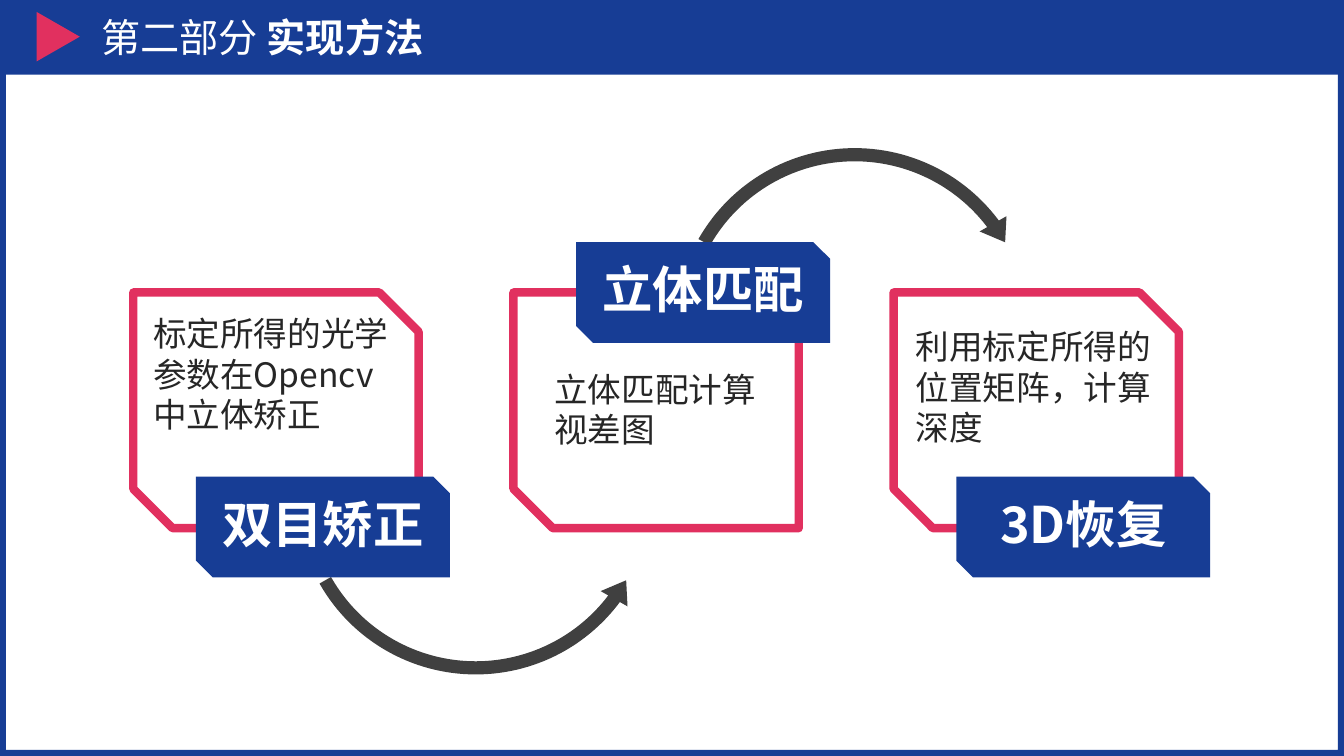
from pptx import Presentation
from pptx.dml.color import RGBColor
from pptx.enum.shapes import MSO_SHAPE
from pptx.enum.text import MSO_ANCHOR, PP_ALIGN
from pptx.util import Cm, Pt

FRAME, RECT = MSO_SHAPE.FRAME, MSO_SHAPE.RECTANGLE
TRIANGLE, ARROW = MSO_SHAPE.ISOSCELES_TRIANGLE, MSO_SHAPE.CIRCULAR_ARROW
SNIPPED = MSO_SHAPE.SNIP_2_DIAG_RECTANGLE
MIDDLE, TOP = MSO_ANCHOR.MIDDLE, MSO_ANCHOR.TOP
LEFT, CENTER = PP_ALIGN.LEFT, PP_ALIGN.CENTER
FONT = "Noto Sans CJK SC"
BLUE, RED, WHITE = "173D95", "E1305F", "FFFFFF"
GREY, INK = "404040", "262626"
WIDTH, HEIGHT, BAR = 33.87, 19.05, 1.88

prs = Presentation()
prs.slide_width, prs.slide_height = Cm(WIDTH), Cm(HEIGHT)
slide = prs.slides.add_slide(prs.slide_layouts[6])


def add_shape(kind, x, y, w, h, fill, line=None, adj=()):
    s = slide.shapes.add_shape(kind, Cm(x), Cm(y), Cm(w), Cm(h))
    s.shadow.inherit = False
    s.fill.solid()
    s.fill.fore_color.rgb = RGBColor.from_string(fill)
    if line:
        s.line.color.rgb = RGBColor.from_string(line)
        s.line.width = Pt(6)
    else:
        s.line.fill.background()
    for i, value in enumerate(adj):
        s.adjustments[i] = value
    return s


def write(s, text, size=24, color=INK, bold=False, align=LEFT, anchor=TOP, spacing=None):
    tf = s.text_frame
    tf.word_wrap = True
    tf.vertical_anchor = anchor
    p = tf.paragraphs[0]
    p.alignment = align
    p.line_spacing = spacing
    r = p.add_run()
    r.text = text
    r.font.size = Pt(size)
    r.font.bold = bold
    r.font.name = FONT
    r.font.color.rgb = RGBColor.from_string(color)
    ea = r.font._element.makeelement(
        "{http://schemas.openxmlformats.org/drawingml/2006/main}ea", {"typeface": FONT})
    r.font._element.append(ea)


add_shape(FRAME, 0, 0, WIDTH, HEIGHT, BLUE, adj=[0.008])
add_shape(RECT, 0, 0, WIDTH, BAR, BLUE)
add_shape(TRIANGLE, 0.84, 0.38, 1.25, 1.09, RED).rotation = 90

title = slide.shapes.add_textbox(Cm(2.31), Cm(0), Cm(30.43), Cm(BAR))
write(title, "第二部分 ", size=28, color=WHITE, anchor=MIDDLE)
write(title, "实现方法", size=28, color=WHITE, bold=True, anchor=MIDDLE)
title.text_frame.paragraphs[0].space_before = Pt(10)

steps = [
    ("双目矫正", 12.01, "标定所得的光学参数在Opencv中立体矫正", (3.61, 7.77, 6.73, 3.33)),
    ("立体匹配", 6.1, "立体匹配计算视差图", (13.72, 9.17, 5.87, 2.31)),
    ("3D恢复", 12.01, "利用标定所得的位置矩阵，计算深度", (22.83, 8.1, 6.88, 3.33)),
]
card_x = [3.36 + 9.58 * i for i in range(len(steps))]

for x in card_x:
    add_shape(SNIPPED, x, 7.37, 7.19, 5.94, WHITE, line=RED)

for x, y, flipped in [(16.79, 3.51, False), (7.24, 7.72, True)]:
    s = add_shape(ARROW, x, y, 9.5, 9.5, GREY, adj=[0.035, 4.388, 193.857, 125.755, 0.041])
    if flipped:
        s._element.spPr.xfrm.set("flipV", "1")

for x, (name, label_y, detail, box) in zip(card_x, steps):
    s = add_shape(SNIPPED, x + 1.58, label_y, 6.4, 2.54, BLUE)
    tf = s.text_frame
    tf.margin_left = tf.margin_right = Cm(0.28)
    tf.margin_top = tf.margin_bottom = Cm(0.2)
    write(s, name, size=36, color=WHITE, bold=True, align=CENTER, anchor=MIDDLE, spacing=0.9)
    write(slide.shapes.add_textbox(*map(Cm, box)), detail)

prs.save("out.pptx")
